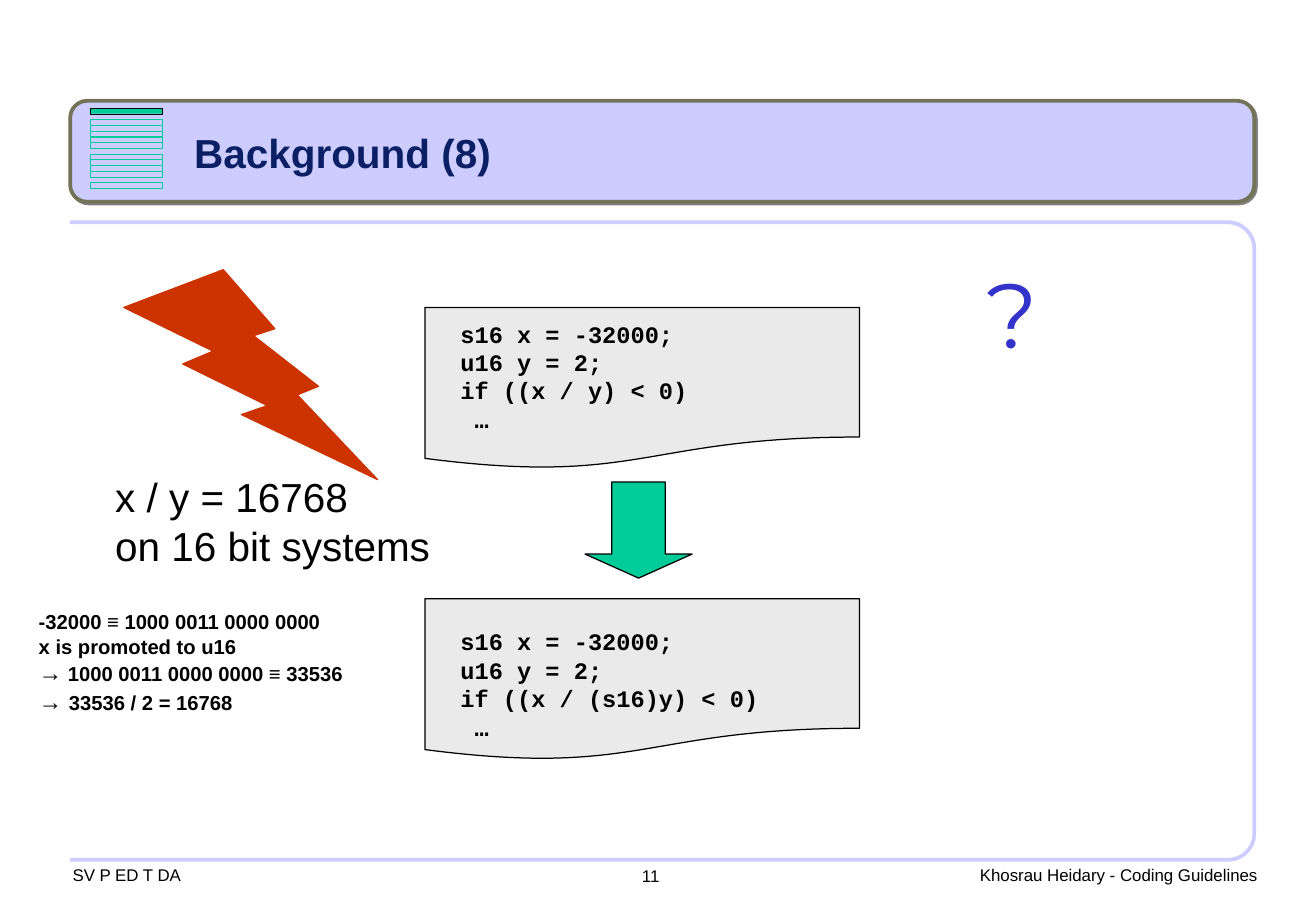
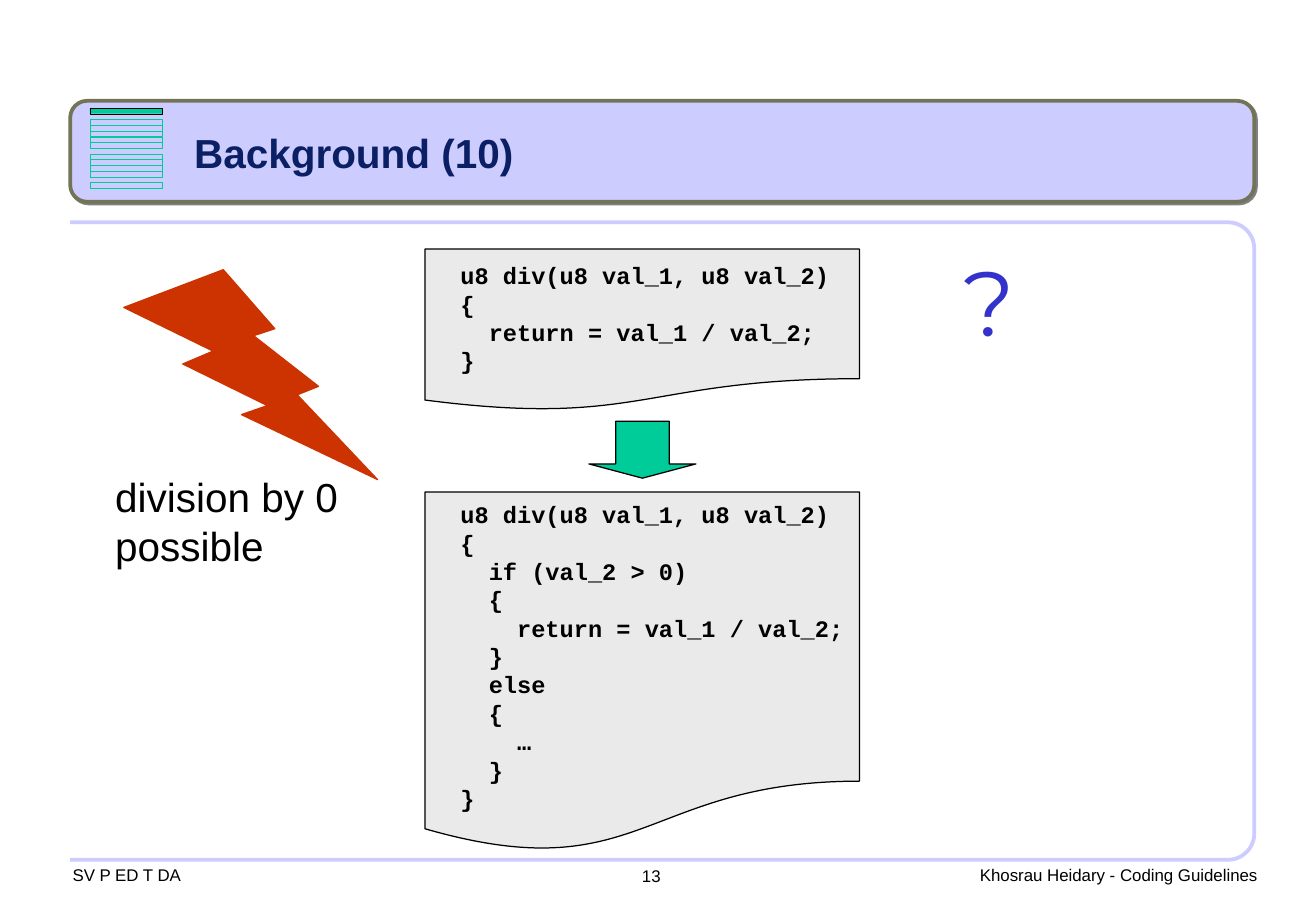
from math import cos, pi, sin

from lxml import etree
from pptx import Presentation
from pptx.dml.color import RGBColor
from pptx.enum.shapes import MSO_SHAPE as SHAPE
from pptx.enum.text import MSO_ANCHOR as ANCHOR, MSO_AUTO_SIZE as AUTO_SIZE, PP_ALIGN as ALIGN
from pptx.oxml import parse_xml
from pptx.oxml.ns import nsdecls, qn
from pptx.util import Cm, Pt

BLACK = RGBColor(0x00, 0x00, 0x00)
NAVY = RGBColor(0x0A, 0x1F, 0x64)
LAVENDER = RGBColor(0xCC, 0xCC, 0xFF)
OLIVE = RGBColor(0x72, 0x73, 0x57)
GREEN = RGBColor(0x00, 0xCC, 0x99)
PAPER = RGBColor(0xEA, 0xEA, 0xEA)
RED = RGBColor(0xCC, 0x33, 0x00)
BLUE = RGBColor(0x33, 0x33, 0xCC)

FRAME_LEFT, FRAME_WIDTH = 1.47, 24.77
RAIL_TOP, RAIL_BOTTOM, RAIL_RADIUS = 4.65, 17.98, 0.55
BAND_TOP, BAND_HEIGHT = 2.11, 2.11
BAR_STEP = 0.12
BAR_SLOTS = (2, 3, 4, 5, 6, 8, 9, 10, 11, 13)
CODE_LEFT, CODE_WIDTH = 8.89, 9.09
LINE_FACTOR = 1.2

FOOTER = {"size": 10}
CODE = {"size": 14, "name": "Courier New", "bold": True}
CALLOUT = {"size": 24}
NOTE = {"size": 12, "bold": True}
QUESTION = {"size": 54, "name": "Montserrat", "color": BLUE}
TITLE = {"size": 24, "color": NAVY, "bold": True}


def write(frame, lines, style, insets=(0.25, 0.13), anchor=ANCHOR.TOP, align=ALIGN.LEFT):
    """Fill a text frame; a line is a string or a list of (text, size) runs."""
    side, top = insets
    settings = {
        "word_wrap": True, "auto_size": AUTO_SIZE.NONE, "vertical_anchor": anchor,
        "margin_left": Cm(side), "margin_right": Cm(side),
        "margin_top": Cm(top), "margin_bottom": 0,
    }
    for key, value in settings.items():
        setattr(frame, key, value)
    look = {"name": "Arial", "color": BLACK, "bold": False, **style}
    for index, line in enumerate(lines):
        paragraph = frame.add_paragraph() if index else frame.paragraphs[0]
        paragraph.alignment = align
        runs = [(line, look["size"])] if isinstance(line, str) else line
        paragraph.line_spacing = Pt(LINE_FACTOR * max(size for _, size in runs))
        for text, size in runs:
            run = paragraph.add_run()
            run.text = text
            run.font.size = Pt(size)
            run.font.name = look["name"]
            run.font.bold = look["bold"]
            run.font.color.rgb = look["color"]


def add_text(slide, box, lines, style, **layout):
    frame = slide.shapes.add_textbox(*map(Cm, box)).text_frame
    write(frame, lines, style, **layout)


def paint(shape, fill, line, weight):
    shape.shadow.inherit = False
    if fill is None:
        shape.fill.background()
    else:
        shape.fill.solid()
        shape.fill.fore_color.rgb = fill
    shape.line.color.rgb = line
    shape.line.width = Pt(weight)


def add_figure(slide, kind, box, fill, line=BLACK, weight=0.75):
    shape = slide.shapes.add_shape(kind, *map(Cm, box))
    paint(shape, fill, line, weight)
    return shape


def add_rail(slide):
    """Open outline around the content, rounded at its two right corners."""
    bend = FRAME_LEFT + FRAME_WIDTH - RAIL_RADIUS
    corners = ((RAIL_TOP + RAIL_RADIUS, -pi / 2), (RAIL_BOTTOM - RAIL_RADIUS, 0))
    points = [
        (bend + RAIL_RADIUS * cos(start + step * pi / 24),
         middle + RAIL_RADIUS * sin(start + step * pi / 24))
        for middle, start in corners for step in range(13)
    ]
    points.append((FRAME_LEFT, RAIL_BOTTOM))
    builder = slide.shapes.build_freeform(Cm(FRAME_LEFT), Cm(RAIL_TOP))
    builder.add_line_segments([(Cm(x), Cm(y)) for x, y in points], close=False)
    paint(builder.convert_to_shape(), None, LAVENDER, 2.25)


def add_band(slide):
    band = add_figure(slide, SHAPE.ROUNDED_RECTANGLE,
                      (FRAME_LEFT, BAND_TOP, FRAME_WIDTH, BAND_HEIGHT),
                      LAVENDER, OLIVE, 2.25)
    effects = band.element.spPr.find(qn("a:effectLst"))
    shadow = etree.SubElement(effects, qn("a:outerShdw"), dist=str(Pt(1.4)), dir="2700000")
    shadow.append(parse_xml(f'<a:srgbClr {nsdecls("a")} val="808080"/>'))


def add_progress(slide, left, top):
    """Stack of outlined chapter bars with the current one filled."""
    for slot in BAR_SLOTS:
        bar = (left, top + slot * BAR_STEP, 1.52, BAR_STEP)
        add_figure(slide, SHAPE.RECTANGLE, bar, None, GREEN, 0.25)
    add_figure(slide, SHAPE.RECTANGLE, (left, top, 1.52, BAR_STEP), GREEN, BLACK, 0.25)


def share_frame(slide):
    """Draw the common parts once and hand them to the slide's layout."""
    layout = slide.slide_layout
    add_rail(slide)
    add_band(slide)
    add_progress(slide, 1.88, 2.26)
    add_text(slide, (1.52, RAIL_BOTTOM, 5.23, 0.64), ["SV P ED T DA"], FOOTER, insets=(0, 0.1))
    add_text(slide, (20.5, RAIL_BOTTOM, 6.32, 0.64),
             ["Khosrau Heidary - Coding Guidelines"], FOOTER, insets=(0, 0.1))
    common = [shape.element for shape in slide.shapes if not shape.is_placeholder]
    for position, element in enumerate(common, start=2):
        layout.shapes.element.insert(position, element)

    title = layout.placeholders[0]
    place = {"left": 3.81, "top": 2.54, "width": 21.5, "height": 1.27}
    for key, value in place.items():
        setattr(title, key, Cm(value))


def add_code(slide, top, height, inset, lines):
    sheet = add_figure(slide, SHAPE.FLOWCHART_DOCUMENT,
                       (CODE_LEFT, top, CODE_WIDTH, height), PAPER)
    write(sheet.text_frame, lines, CODE, insets=(0.15, inset))


def fill_slide(slide, content):
    """Problem on the left, faulty code above the corrected code."""
    write(slide.shapes.title.text_frame, [content["title"]], TITLE,
          insets=(0.25, 0), anchor=ANCHOR.MIDDLE)
    add_text(slide, (13.18, RAIL_BOTTOM, 2.11, 0.69), [content["number"]], FOOTER)
    for code in content["codes"]:
        add_code(slide, *code)
    add_text(slide, content["question"] + (3.02, 4.01), ["?"], QUESTION, align=ALIGN.CENTER)
    arrow = add_figure(slide, SHAPE.DOWN_ARROW, content["arrow"], GREEN)
    arrow.adjustments[0], arrow.adjustments[1] = 0.5, 0.25
    add_figure(slide, SHAPE.LIGHTNING_BOLT, (2.59, 5.64, 5.31, 4.39), RED, RED)
    add_text(slide, (2.16, 9.75, 8, 2.29), content["callout"], CALLOUT)
    if "note" in content:
        add_text(slide, (0.56, 12.62, 7.82, 2.46), content["note"], NOTE)


SLIDES = [
    {
        "title": "Background (8)",
        "number": "11",
        "codes": [
            (6.43, 3.38, 0.25, [
                "  s16 x = -32000;",
                "  u16 y = 2;",
                "  if ((x / y) < 0)",
                "   …",
            ]),
            (12.52, 3.38, 0.6, [
                "  s16 x = -32000;",
                "  u16 y = 2;",
                "  if ((x / (s16)y) < 0)",
                "   …",
            ]),
        ],
        "question": (19.66, 5.25),
        "arrow": (12.24, 10.08, 2.24, 2.01),
        "callout": ["x / y = 16768", "on 16 bit systems"],
        "note": [
            "-32000 ≡ 1000 0011 0000 0000",
            "x is promoted to u16",
            [("→", 14), (" 1000 0011 0000 0000 ≡ 33536", 12)],
            [("→ ", 14), ("33536 / 2 = 16768", 12)],
        ],
    },
    {
        "title": "Background (10)",
        "number": "13",
        "codes": [
            (5.21, 3.38, 0.25, [
                "  u8 div(u8 val_1, u8 val_2)",
                "  {",
                "    return = val_1 / val_2;",
                "  }",
            ]),
            (10.29, 7.54, 0.17, [
                "  u8 div(u8 val_1, u8 val_2)",
                "  {",
                "    if (val_2 > 0)",
                "    {",
                "      return = val_1 / val_2;",
                "    }",
                "    else",
                "    {",
                "      …",
                "    }",
                "  }",
            ]),
        ],
        "question": (19.18, 5),
        "arrow": (12.32, 8.81, 2.24, 1.19),
        "callout": ["division by 0", "possible"],
    },
]


def main():
    deck = Presentation()
    deck.slide_width, deck.slide_height = Cm(27.53), Cm(19.05)
    title_only = deck.slide_layouts[5]
    for index, content in enumerate(SLIDES):
        slide = deck.slides.add_slide(title_only)
        if index == 0:
            share_frame(slide)
        fill_slide(slide, content)
    deck.save("out.pptx")


if __name__ == "__main__":
    main()
